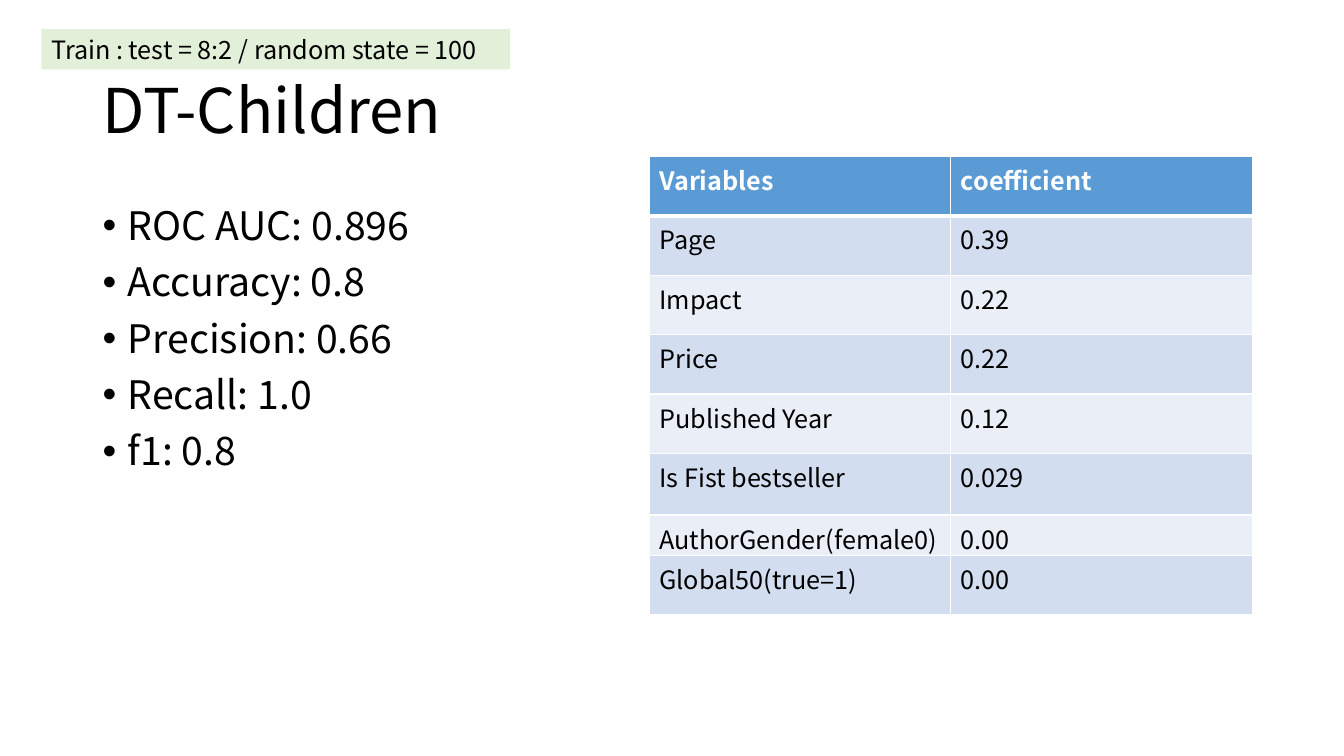
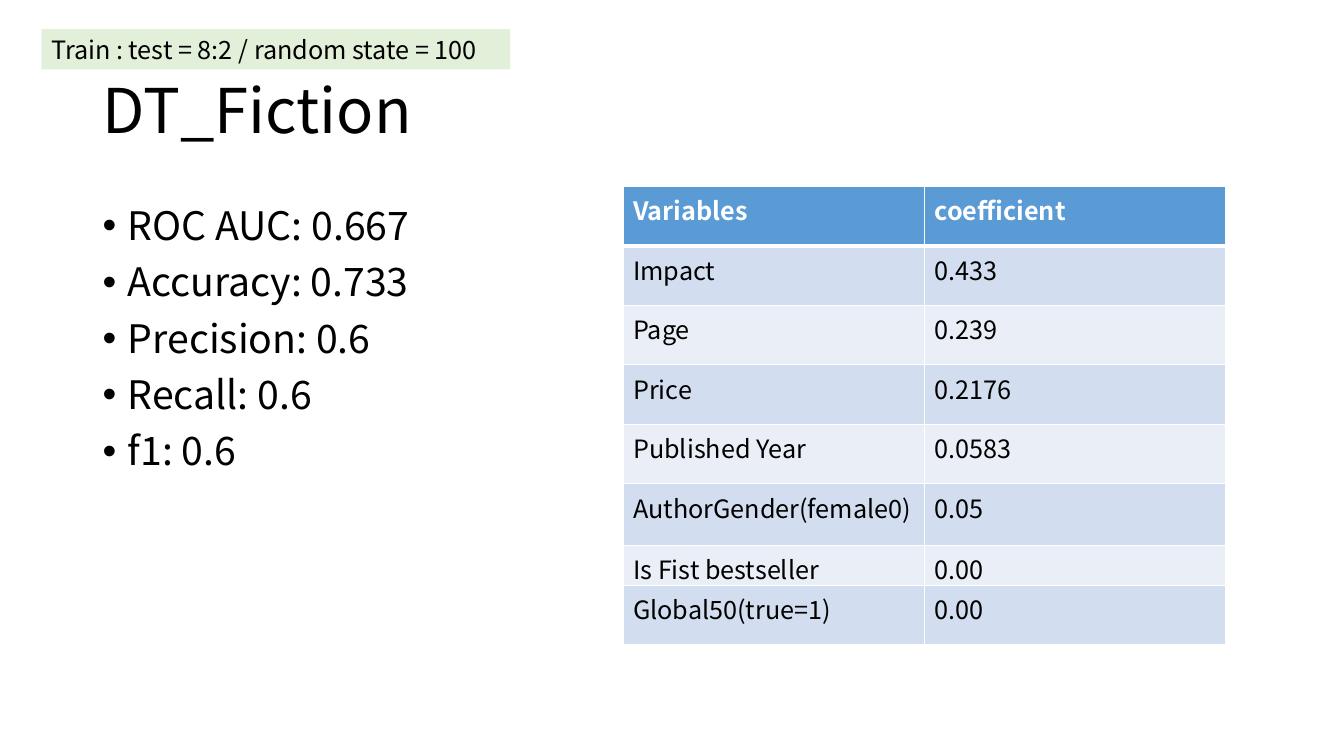
from lxml.etree import SubElement
from pptx import Presentation
from pptx.dml.color import RGBColor
from pptx.enum.shapes import MSO_SHAPE
from pptx.enum.text import MSO_ANCHOR, MSO_AUTO_SIZE, PP_ALIGN
from pptx.oxml import parse_xml
from pptx.oxml.ns import nsdecls, qn
from pptx.util import Inches, Pt

# Shared style
FONT = "Noto Sans CJK KR"
BLACK, WHITE = "000000", "FFFFFF"
HEADER_FILL, BAND_FILLS = "5B9BD5", ("D2DEEF", "EAEFF7")
NOTE_FILL = "E2F0D9"
NOTE_TEXT = "Train : test = 8:2 / random state = 100"
COLUMN_WIDTH = 2.99
ROW_HEIGHTS = [0.59] * 5 + [0.61, 0.29, 0.59]


def color(value):
    return RGBColor.from_string(value)


class ResultDeck:
    def __init__(self):
        self.deck = Presentation()
        self.deck.slide_width = Inches(13.33)
        self.deck.slide_height = Inches(7.5)
        self.page = None

    def add_page(self):
        self.page = self.deck.slides.add_slide(self.deck.slide_layouts[5])

    def add_span(self, para, text, size, ink=BLACK, bold=False):
        para.alignment = PP_ALIGN.LEFT
        span = para.add_run()
        span.text = text
        span.font.name = FONT
        span.font.size = Pt(size)
        span.font.bold = bold
        span.font.color.rgb = color(ink)

    def title(self, text):
        box = self.page.shapes.title
        box.left, box.top = Inches(0.92), Inches(0.4)
        box.width, box.height = Inches(11.5), Inches(1.45)
        frame = box.text_frame
        frame.auto_size = MSO_AUTO_SIZE.NONE
        frame.vertical_anchor = MSO_ANCHOR.MIDDLE
        para = frame.paragraphs[0]
        para.line_spacing = 0.9
        self.add_span(para, text, 44)

    def bullets(self, lines):
        box = self.page.shapes.add_textbox(
            Inches(0.92), Inches(2), Inches(11.5), Inches(4.76))
        frame = box.text_frame
        frame.word_wrap = True
        for index, line in enumerate(lines):
            para = frame.add_paragraph() if index else frame.paragraphs[0]
            para.line_spacing = 0.9
            para.space_before = Pt(10)
            self.add_span(para, line, 28)
            properties = para._p.get_or_add_pPr()
            properties.set("marL", str(Inches(0.25)))
            properties.set("indent", str(Inches(-0.25)))
            SubElement(properties, qn("a:buFont"), typeface="Arial")
            SubElement(properties, qn("a:buChar"), char="•")

    def borders(self, cell, top, bottom):
        widths = {"L": 1, "R": 1, "T": top, "B": bottom}
        properties = cell._tc.get_or_add_tcPr()
        for index, (side, width) in enumerate(widths.items()):
            line = parse_xml(
                f'<a:ln{side} {nsdecls("a")} w="{Pt(width)}"><a:solidFill>'
                f'<a:srgbClr val="{WHITE}"/></a:solidFill></a:ln{side}>')
            properties.insert(index, line)

    def table(self, left, top, rows):
        rows = [("Variables", "coefficient")] + rows
        table = self.page.shapes.add_table(
            len(rows), 2, Inches(left), Inches(top),
            Inches(2 * COLUMN_WIDTH), Inches(sum(ROW_HEIGHTS))).table
        for column in table.columns:
            column.width = Inches(COLUMN_WIDTH)
        for r, values in enumerate(rows):
            table.rows[r].height = Inches(ROW_HEIGHTS[r])
            header = r == 0
            for c, value in enumerate(values):
                cell = table.cell(r, c)
                cell.fill.solid()
                cell.fill.fore_color.rgb = color(
                    HEADER_FILL if header else BAND_FILLS[(r - 1) % 2])
                self.borders(cell, 3 if r == 1 else 1, 3 if header else 1)
                self.add_span(cell.text_frame.paragraphs[0], value, 18,
                              WHITE if header else BLACK, header)

    def note(self):
        box = self.page.shapes.add_shape(
            MSO_SHAPE.RECTANGLE, Inches(0.41), Inches(0.29), Inches(4.65), Inches(0.4))
        box.shadow.inherit = False
        box.fill.solid()
        box.fill.fore_color.rgb = color(NOTE_FILL)
        box.line.fill.background()
        frame = box.text_frame
        frame.word_wrap = True
        frame.auto_size = MSO_AUTO_SIZE.SHAPE_TO_FIT_TEXT
        frame.vertical_anchor = MSO_ANCHOR.TOP
        self.add_span(frame.paragraphs[0], NOTE_TEXT, 18)

    def result_page(self, title, scores, table_place, coefficients):
        self.add_page()
        self.title(title)
        self.bullets(scores)
        self.table(*table_place, coefficients)
        self.note()


results = ResultDeck()

# Children
results.result_page(
    "DT-Children",
    ["ROC AUC: 0.896", "Accuracy: 0.8", "Precision: 0.66", "Recall: 1.0", "f1: 0.8"],
    (6.44, 1.55),
    [("Page", "0.39"), ("Impact", "0.22"), ("Price", "0.22"),
     ("Published Year", "0.12"), ("Is Fist bestseller", "0.029"),
     ("AuthorGender(female0)", "0.00"), ("Global50(true=1)", "0.00")])

# Fiction
results.result_page(
    "DT_Fiction",
    ["ROC AUC: 0.667", "Accuracy: 0.733", "Precision: 0.6", "Recall: 0.6", "f1: 0.6"],
    (6.18, 1.85),
    [("Impact", "0.433"), ("Page", "0.239"), ("Price", "0.2176"),
     ("Published Year", "0.0583"), ("AuthorGender(female0)", "0.05"),
     ("Is Fist bestseller", "0.00"), ("Global50(true=1)", "0.00")])

results.deck.save("out.pptx")
